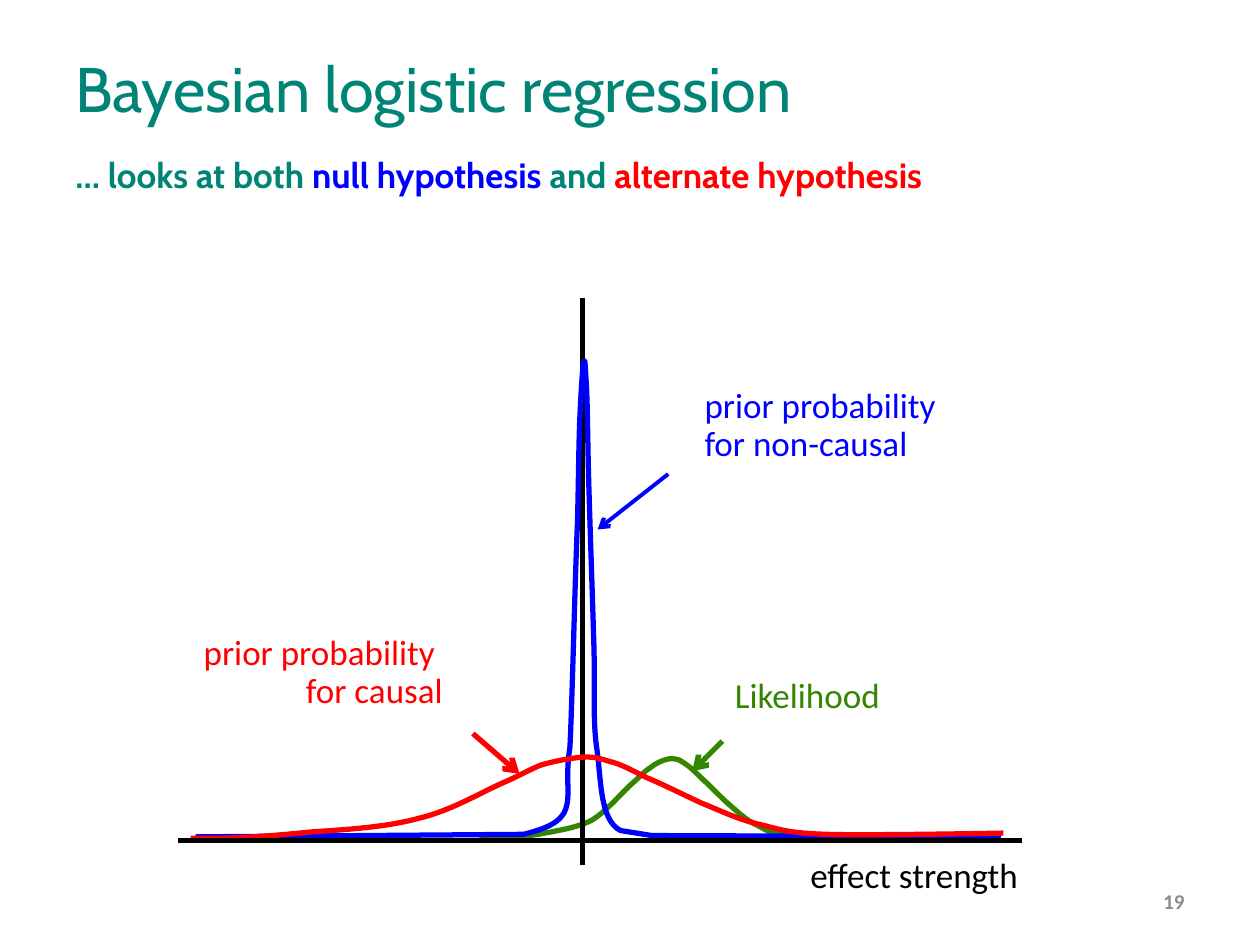
from lxml import etree
from pptx import Presentation
from pptx.dml.color import RGBColor
from pptx.enum.shapes import MSO_CONNECTOR
from pptx.enum.text import MSO_ANCHOR, PP_ALIGN
from pptx.oxml.ns import qn
from pptx.util import Cm, Pt

STRAIGHT = MSO_CONNECTOR.STRAIGHT
LEFT, RIGHT = PP_ALIGN.LEFT, PP_ALIGN.RIGHT
TOP, MIDDLE = MSO_ANCHOR.TOP, MSO_ANCHOR.MIDDLE

TEAL, BLUE, RED, GREEN = "008475", "0000FF", "FF0000", "348600"
BLACK, GREY = "000000", "8C8C8C"

# Plot coordinates: x right of the vertical axis, y above the baseline
UNIT = 0.0254  # centimetres per plot unit

# Each curve is a start point and segments: one point for a straight line,
# two control points and an end point for a Bezier curve
LIKELIHOOD = ((-82, 1), [
    [(-66, 0), (-50, 3), (-35, 5)], [(-20, 8), (-5, 10), (7, 16)],
    [(19, 23), (31, 38), (39, 45)], [(47, 52), (49, 55), (54, 58)],
    [(59, 62), (64, 64), (69, 65)], [(73, 65), (76, 65), (80, 62)],
    [(85, 59), (89, 55), (95, 49)], [(101, 44), (109, 35), (116, 29)],
    [(123, 23), (130, 16), (139, 12)], [(147, 8), (149, 5), (165, 4)],
    [(181, 2), (235, 1), (235, 1)]])
NON_CAUSAL = ((-307, 3), [
    [(-47, 5)], [(3, 17), (-17, 33), (-10, 74)],
    [(-8, 116), (-6, 209), (-4, 253)], [(-3, 297), (-3, 318), (-2, 339)],
    [(-1, 360), (0, 376), (1, 380)], [(2, 383), (2, 379), (3, 362)],
    [(4, 346), (4, 316), (5, 282)], [(6, 247), (8, 189), (9, 155)],
    [(10, 120), (8, 99), (11, 75)], [(15, 50), (13, 17), (30, 8)],
    [(55, 4)], [(332, 3)]])
CAUSAL = ((-311, 2), [
    [(-278, 1), (-245, 4), (-214, 7)], [(-184, 9), (-154, 11), (-129, 18)],
    [(-104, 24), (-79, 39), (-63, 46)], [(-47, 53), (-43, 56), (-33, 60)],
    [(-23, 63), (-12, 65), (-3, 66)], [(6, 67), (12, 66), (21, 63)],
    [(30, 61), (39, 56), (51, 50)], [(63, 45), (79, 37), (94, 30)],
    [(109, 24), (123, 17), (140, 13)], [(157, 9), (162, 6), (194, 5)],
    [(227, 4), (334, 6), (334, 6)]])


def color(hex_string):
    return RGBColor.from_string(hex_string)


def add_text(slide, box, lines, font, size, bold=False, align=LEFT,
             anchor=TOP, spacing=None):
    """Add one paragraph; each line is a list of (text, colour) runs."""
    frame = slide.shapes.add_textbox(*box).text_frame
    frame.word_wrap = True
    frame.vertical_anchor = anchor
    paragraph = frame.paragraphs[0]
    paragraph.alignment = align
    paragraph.line_spacing = spacing
    for index, line in enumerate(lines):
        if index:
            paragraph.add_line_break()
        for text, run_color in line:
            run = paragraph.add_run()
            run.text = text
            run.font.name = font
            run.font.size = Pt(size)
            run.font.bold = bold
            run.font.color.rgb = color(run_color)


def add_line(slide, start, end, line_color, width, arrow=False):
    connector = slide.shapes.add_connector(STRAIGHT, *start, *end)
    connector.line.color.rgb = color(line_color)
    connector.line.width = Pt(width)
    if arrow:
        line = connector.line._get_or_add_ln()
        etree.SubElement(line, qn("a:tailEnd"), type="arrow")
    etree.SubElement(connector._element.spPr, qn("a:effectLst"))


def add_curve(slide, start, segments, line_color):
    """Draw an open outline through slide positions, curved where asked."""
    builder = slide.shapes.build_freeform(*start)
    builder.add_line_segments([segment[-1] for segment in segments], close=False)
    shape = builder.convert_to_shape()
    shape.shadow.inherit = False
    shape.fill.background()
    shape.line.color.rgb = color(line_color)
    shape.line.width = Pt(3)

    # Turn the straight pieces that have control points into Bezier curves
    pieces = list(shape._element.iter(qn("a:lnTo")))
    for piece, segment in zip(pieces, segments):
        if len(segment) == 3:
            bezier = etree.Element(qn("a:cubicBezTo"))
            for x, y in segment:
                etree.SubElement(bezier, qn("a:pt"),
                                 x=str(x - shape.left), y=str(y - shape.top))
            piece.getparent().replace(piece, bezier)


def add_heading(slide, left, top, width):
    add_text(slide, (Cm(left), Cm(top), Cm(width), Cm(1.98)),
             [[("Bayesian logistic regression", TEAL)]], "Cabin", 36, anchor=MIDDLE)
    add_text(slide, (Cm(left), Cm(top + 2.2), Cm(width), Cm(1.27)),
             [[("… looks at both ", TEAL), ("null hypothesis", BLUE),
               (" and ", TEAL), ("alternate hypothesis", RED)]],
             "Cabin", 20, bold=True)


def add_plot(slide, left, top, width, height):
    axis_x, below = 321, 19  # units left of the axis and below the baseline
    right, above = width / UNIT - axis_x, height / UNIT - below

    def place(x, y):
        return Cm(left + (axis_x + x) * UNIT), Cm(top + (above - y) * UNIT)

    def add_density(curve, line_color):
        start, segments = curve
        placed = [[place(*point) for point in segment] for segment in segments]
        add_curve(slide, place(*start), placed, line_color)

    # Curves and axes, from back to front
    add_density(LIKELIHOOD, GREEN)
    add_line(slide, place(0, -below), place(0, above), BLACK, 3)
    add_density(NON_CAUSAL, BLUE)
    add_density(CAUSAL, RED)
    add_line(slide, place(right, 0), place(-axis_x, 0), BLACK, 3)

    # Labels
    for x, y, label_width, label_height, lines, text_color, align in (
        (87, 364, 296, 71, ["prior probability ", "for non-causal"], BLUE, LEFT),
        (-404, 168, 303, 71, ["prior probability ", "for causal"], RED, RIGHT),
        (111, 134, 159, 41, ["Likelihood"], GREEN, LEFT),
        (171, -9, 304, 40, ["effect strength"], BLACK, LEFT),
    ):
        box = (*place(x, y), Cm(label_width * UNIT), Cm(label_height * UNIT))
        add_text(slide, box, [[(line, text_color)] for line in lines],
                 "Calibri", 20, align=align, spacing=0.9)

    # Arrows from labels to curves
    for start, end, line_color, line_width in (
        ((68, 291), (12, 247), BLUE, 2.25),
        ((-87, 85), (-50, 53), RED, 3),
        ((111, 79), (87, 55), GREEN, 3),
    ):
        add_line(slide, place(*start), place(*end), line_color, line_width, arrow=True)


def add_page_number(slide, left, top, width, height):
    add_text(slide, (Cm(left), Cm(top), Cm(width), Cm(height)), [[("19", GREY)]],
             "Calibri", 12, bold=True, align=RIGHT, anchor=MIDDLE)


def main():
    presentation = Presentation()
    presentation.slide_width, presentation.slide_height = Cm(25.4), Cm(19.05)
    slide = presentation.slides.add_slide(presentation.slide_layouts[6])
    add_heading(slide, 1.27, 0.77, 22.86)
    add_plot(slide, 3.59, 6, 17.02, 11.43)
    add_page_number(slide, 18.21, 17.65, 5.92, 1.02)
    presentation.save("out.pptx")


if __name__ == "__main__":
    main()
